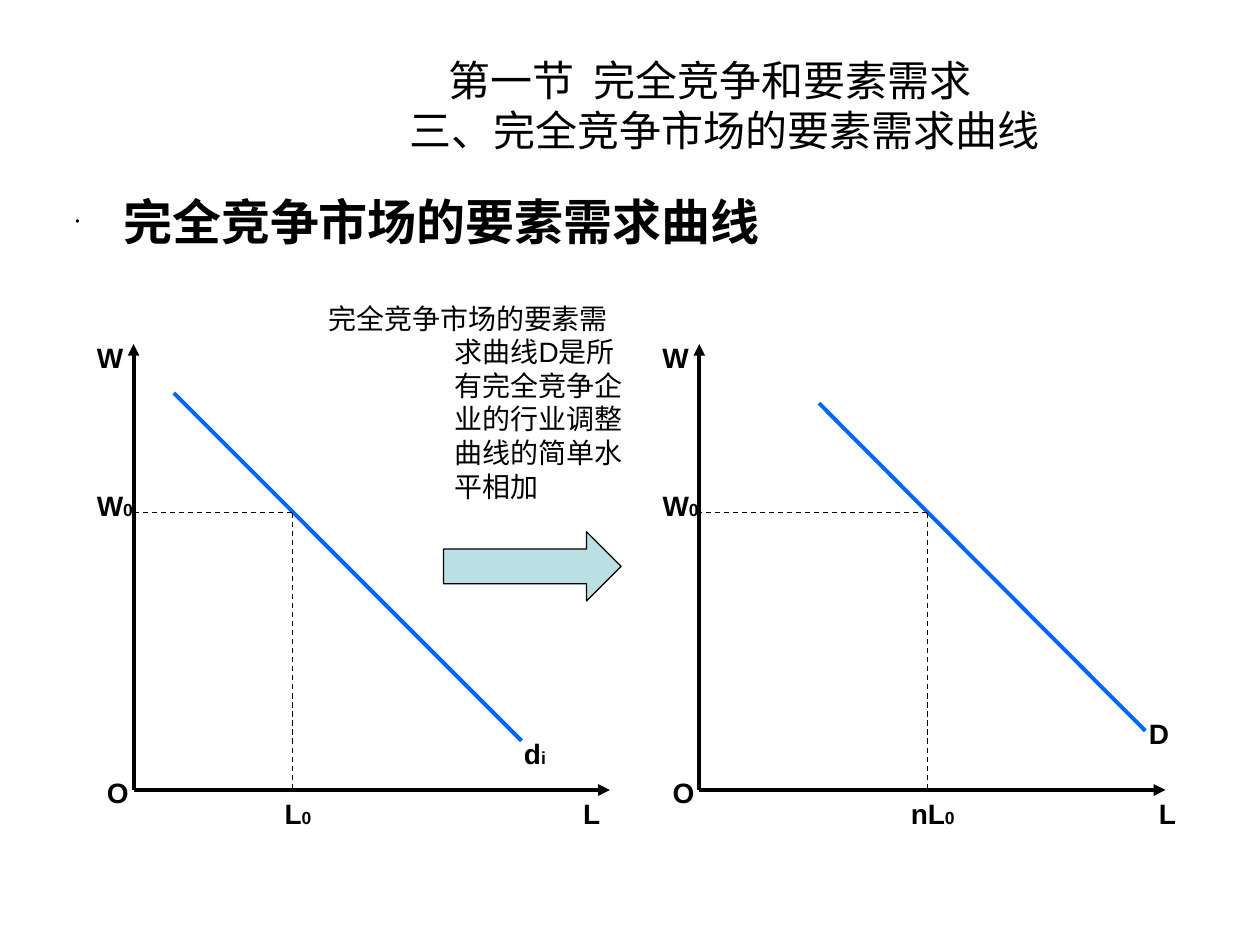
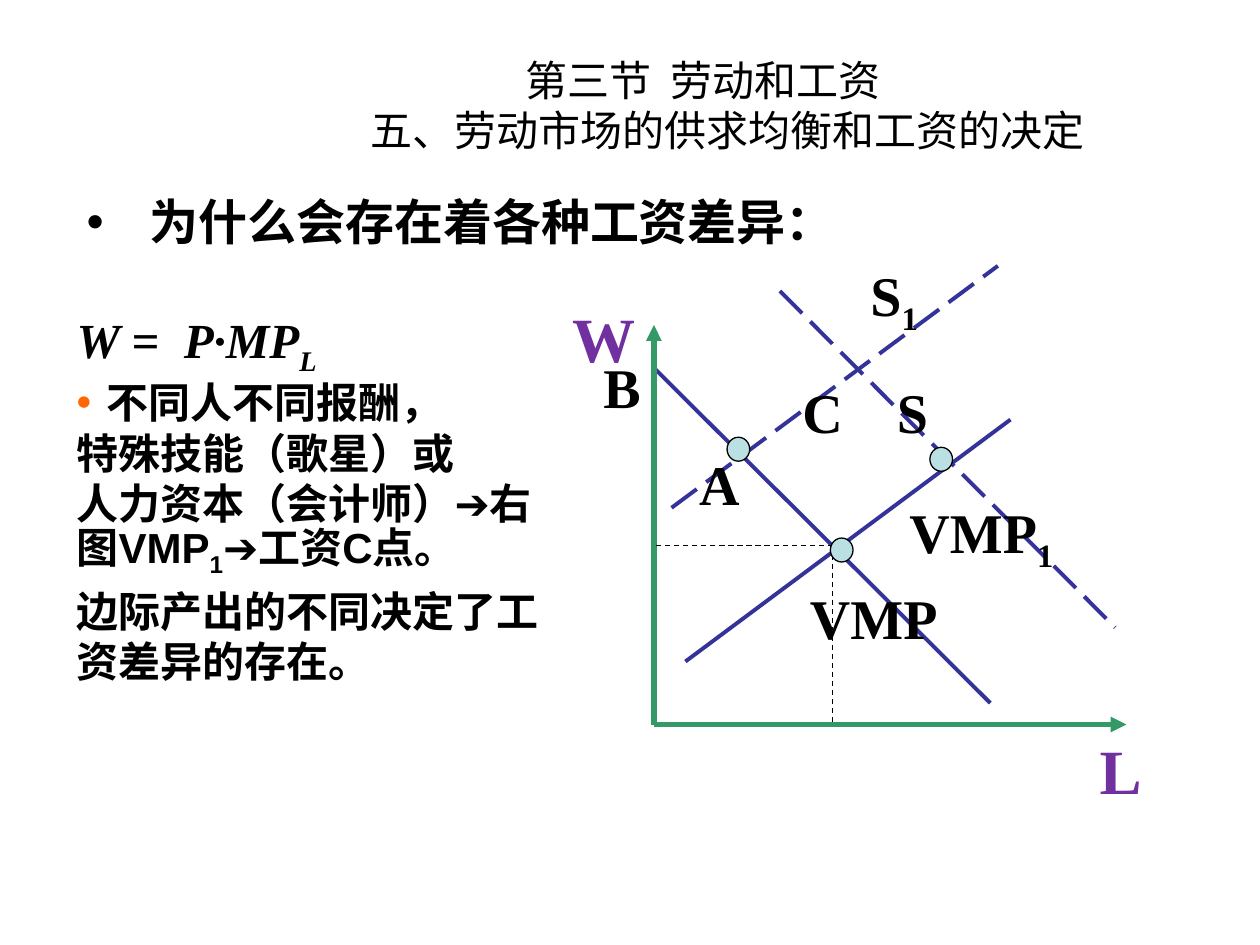
from lxml.etree import SubElement
from pptx import Presentation
from pptx.dml.color import RGBColor
from pptx.enum.dml import MSO_LINE
from pptx.enum.shapes import MSO_CONNECTOR, MSO_SHAPE
from pptx.enum.text import MSO_ANCHOR as Anchor, MSO_AUTO_SIZE, PP_ALIGN as Align
from pptx.oxml.ns import qn
from pptx.util import Inches, Pt

SANS, SERIF, CJK = "Arial", "Times New Roman", "Noto Sans CJK SC"
BLACK, WHITE, PALE_TEAL, ORANGE = "000000", "FFFFFF", "BBE0E3", "FF6600"
BLUE, NAVY, GREEN, PURPLE = "0066FF", "333399", "339966", "7030A0"
CJK_PITCH = 1.2  # line pitch relative to the text size

# Title lines: (text, indent). Underscores enclose a subscript.
DEMAND = {
    "title": [("第一节  完全竞争和要素需求", 2.96),
              ("三、完全竞争市场的要素需求曲线", 2.65)],
    "heading": "完全竞争市场的要素需求曲线",
    "callout": "完全竞争市场的要素需求曲线D是所有完全竞争企业的行业调整曲线的简单水平相加",
}
WAGES = {
    "title": [("第三节  劳动和工资", 3.57),
              ("五、劳动市场的供求均衡和工资的决定", 2.34)],
    "heading": "为什么会存在着各种工资差异：",
    "formula": "W =  P·MP_L_",
    "reasons": ["不同人不同报酬，", "特殊技能（歌星）或",
                "人力资本（会计师）➔右图VMP_1_➔工资C点。",
                "边际产出的不同决定了工资差异的存在。"],
}

# Demand panels share the vertical axis; x positions are in inches.
AXIS_TOP, AXIS_BOTTOM, WAGE_Y = 2.73, 6.27, 4.07
PANELS = [
    {"origin": 1.06, "end": 4.84, "quantity": 2.32,
     "curve": (1.38, 3.12, 4.14, 5.88),
     "labels": [("d_i_", 4.06, 5.8, 0.62), ("L_0_", 2.16, 6.27, 0.52),
                ("L", 4.53, 6.27, 0.34)]},
    {"origin": 5.55, "end": 9.25, "quantity": 7.36,
     "curve": (6.5, 3.2, 9.09, 5.8),
     "labels": [("D", 9.02, 5.64, 0.45), ("nL_0_", 7.13, 6.27, 0.71),
                ("L", 9.1, 6.27, 0.34)]},
]
# Label, offset from the origin, top, width
AXIS_LABELS = [("W", -0.39, 2.65, 0.63), ("O", -0.31, 6.11, 0.34),
               ("W_0_", -0.39, 3.83, 0.55)]

# Labour market diagram
MARKET_ORIGIN, MARKET_END = (5.19, 5.75), (8.94, 2.58)
EQUILIBRIUM = (6.61, 4.33)
MARKET_CURVES = [  # ends, dash
    ((5.19, 2.92, 7.86, 5.58), None),
    ((5.44, 5.25, 8.02, 3.33), None),
    ((5.33, 4.03, 7.92, 2.11), MSO_LINE.LONG_DASH),
    ((6.19, 2.31, 8.85, 4.98), MSO_LINE.LONG_DASH),
]
CURVE_LABELS = [  # text, left, top, width
    ("VMP", 6.33, 4.58, 3.21), ("S", 7.02, 2.95, 2.45),
    ("S_1_", 6.81, 2.02, 2.57), ("A", 5.45, 3.52, 2.52),
    ("B", 4.69, 2.75, 2.49), ("VMP_1_", 7.12, 3.9, 2.8),
    ("C", 6.27, 2.95, 2.52),
]
MARKET_AXIS_LABELS = [("W", 3.44, 2.33, 2.7), ("L", 7.63, 5.76, 2.53)]
POINTS = [(6.59, 4.27), (5.77, 3.47), (7.38, 3.55)]


def rgb(color):
    return RGBColor.from_string(color)


def write(paragraph, text, size, color=BLACK, font=SANS, bold=True, italic=False,
          sub_size=None, pitch=None):
    """Fill a paragraph; parts between underscores become subscripts,
    lowered unless sub_size makes them merely smaller."""
    for index, part in enumerate(text.split("_")):
        if not part:
            continue
        run = paragraph.add_run()
        run.text = part
        if index % 2 and sub_size:
            run.font.size = Pt(sub_size)
        elif index % 2:
            run._r.get_or_add_rPr().set("baseline", "-25000")
    style = paragraph.font
    style.size, style.bold, style.italic = Pt(size), bold, italic
    style.color.rgb = rgb(color)
    style.name = font
    defaults = paragraph._p.pPr.find(qn("a:defRPr"))
    SubElement(defaults, qn("a:ea")).set("typeface", CJK)
    if pitch:
        paragraph.line_spacing = Pt(round(size * pitch, 1))


def indent(paragraph, left, first=0):
    props = paragraph._p.get_or_add_pPr()
    props.set("marL", str(Inches(left)))
    props.set("indent", str(Inches(first)))


def bullet(paragraph, hang, color=BLACK, percent=100):
    """Add a hanging bullet; call before the paragraph gets its font."""
    indent(paragraph, hang, -hang)
    props = paragraph._p.get_or_add_pPr()
    SubElement(SubElement(props, qn("a:buClr")), qn("a:srgbClr")).set("val", color)
    SubElement(props, qn("a:buSzPct")).set("val", str(percent * 1000))
    SubElement(props, qn("a:buFont")).set("typeface", SANS)
    SubElement(props, qn("a:buChar")).set("char", "•")


def add_text_frame(slide, left, top, width, height, anchor=Anchor.TOP):
    box = slide.shapes.add_textbox(*map(Inches, (left, top, width, height)))
    frame = box.text_frame
    frame.word_wrap = True
    frame.vertical_anchor = anchor
    return frame


def add_label(slide, text, left, top, width, height=0.37, size=16,
              align=Align.LEFT, **style):
    paragraph = add_text_frame(slide, left, top, width, height).paragraphs[0]
    paragraph.alignment = align
    write(paragraph, text, size, **style)


def add_line(slide, ends, color=BLACK, width=0.75, dash=None, arrow=False):
    line = slide.shapes.add_connector(MSO_CONNECTOR.STRAIGHT, *map(Inches, ends))
    line.line.color.rgb = rgb(color)
    line.line.width = Pt(width)
    if dash:
        line.line.dash_style = dash
    if arrow:
        SubElement(line.line._get_or_add_ln(), qn("a:tailEnd")).set("type", "triangle")
    SubElement(line._element.spPr, qn("a:effectLst"))


def add_axes(slide, x, y, right, top, color, width):
    for end in ((x, top), (right, y)):
        add_line(slide, (x, y, *end), color, width, arrow=True)


def add_guides(slide, x, y, axis_x, axis_y):
    """Dashed lines from a point to both axes."""
    for end in ((axis_x, y), (x, axis_y)):
        add_line(slide, (x, y, *end), dash=MSO_LINE.DASH)


def add_filled(slide, preset, left, top, width, height, fill, outline=None):
    shape = slide.shapes.add_shape(preset, *map(Inches, (left, top, width, height)))
    shape.shadow.inherit = False
    shape.fill.solid()
    shape.fill.fore_color.rgb = rgb(fill)
    if outline:
        shape.line.color.rgb = rgb(outline)
        shape.line.width = Pt(0.75)
    else:
        shape.line.fill.background()
    return shape


def start_slide(deck, content, heading_left, hang, bullet_percent):
    slide = deck.slides.add_slide(deck.slide_layouts[5])
    title = slide.shapes.title
    title.left, title.top, title.width, title.height = map(Inches, (0.5, 0.36, 9, 0.94))
    frame = title.text_frame
    frame.auto_size = MSO_AUTO_SIZE.NONE
    frame.vertical_anchor = Anchor.MIDDLE
    for index, (text, left) in enumerate(content["title"]):
        paragraph = frame.add_paragraph() if index else frame.paragraphs[0]
        paragraph.alignment = Align.LEFT
        indent(paragraph, left)
        write(paragraph, text, 24, bold=False, pitch=CJK_PITCH)

    heading = add_text_frame(slide, heading_left, 1.47, 9, 0.57, Anchor.MIDDLE)
    bullet(heading.paragraphs[0], hang, percent=bullet_percent)
    write(heading.paragraphs[0], content["heading"], 28, pitch=CJK_PITCH)
    return slide


def build_demand(deck):
    slide = start_slide(deck, DEMAND, 0.5, 0.38, 25)
    for panel in PANELS:
        origin = panel["origin"]
        add_axes(slide, origin, AXIS_BOTTOM, panel["end"], AXIS_TOP, BLACK, 2.25)
        add_line(slide, panel["curve"], BLUE, 2.25)
        add_guides(slide, panel["quantity"], WAGE_Y, origin, AXIS_BOTTOM)
        shared = [(text, origin + dx, top, width)
                  for text, dx, top, width in AXIS_LABELS]
        for label in shared + panel["labels"]:
            add_label(slide, *label, sub_size=10)

    callout = add_filled(slide, MSO_SHAPE.ROUNDED_RECTANGULAR_CALLOUT,
                         2.42, 2.27, 2.81, 1.84, WHITE)
    for index, value in enumerate((-0.19, 0.23, 0.17)):
        callout.adjustments[index] = value
    frame = callout.text_frame
    frame.word_wrap = True
    frame.vertical_anchor = Anchor.MIDDLE
    paragraph = frame.paragraphs[0]
    paragraph.alignment = Align.LEFT
    indent(paragraph, 1, -1)
    write(paragraph, DEMAND["callout"], 16, bold=False, pitch=CJK_PITCH)
    add_filled(slide, MSO_SHAPE.RIGHT_ARROW, 3.52, 4.22, 1.41, 0.55, PALE_TEAL, BLACK)


def build_wages(deck):
    slide = start_slide(deck, WAGES, 0.59, 0.5, 100)
    for ends, dash in MARKET_CURVES:
        add_line(slide, ends, NAVY, 2.25, dash)
    add_axes(slide, *MARKET_ORIGIN, *MARKET_END, GREEN, 3)
    add_guides(slide, *EQUILIBRIUM, *MARKET_ORIGIN)
    for left, top in POINTS:
        add_filled(slide, MSO_SHAPE.OVAL, left, top, 0.18, 0.19, PALE_TEAL, BLACK)
    for label in CURVE_LABELS:
        add_label(slide, *label, height=0.64, size=32, font=SERIF)
    for label in MARKET_AXIS_LABELS:
        add_label(slide, *label, height=0.7, size=36, align=Align.CENTER,
                  font=SERIF, color=PURPLE)

    frame = add_text_frame(slide, 0.51, 2.41, 4.06, 3.49)
    write(frame.paragraphs[0], WAGES["formula"], 28, font=SERIF, italic=True)
    for index, reason in enumerate(WAGES["reasons"]):
        paragraph = frame.add_paragraph()
        if index == 0:
            bullet(paragraph, 0.24, ORANGE)
        write(paragraph, reason, 24, pitch=CJK_PITCH)
    paragraph.space_before = Pt(4)


def main():
    deck = Presentation()
    deck.slide_width, deck.slide_height = Inches(10), Inches(7.5)
    build_demand(deck)
    build_wages(deck)
    deck.save("out.pptx")


if __name__ == "__main__":
    main()
